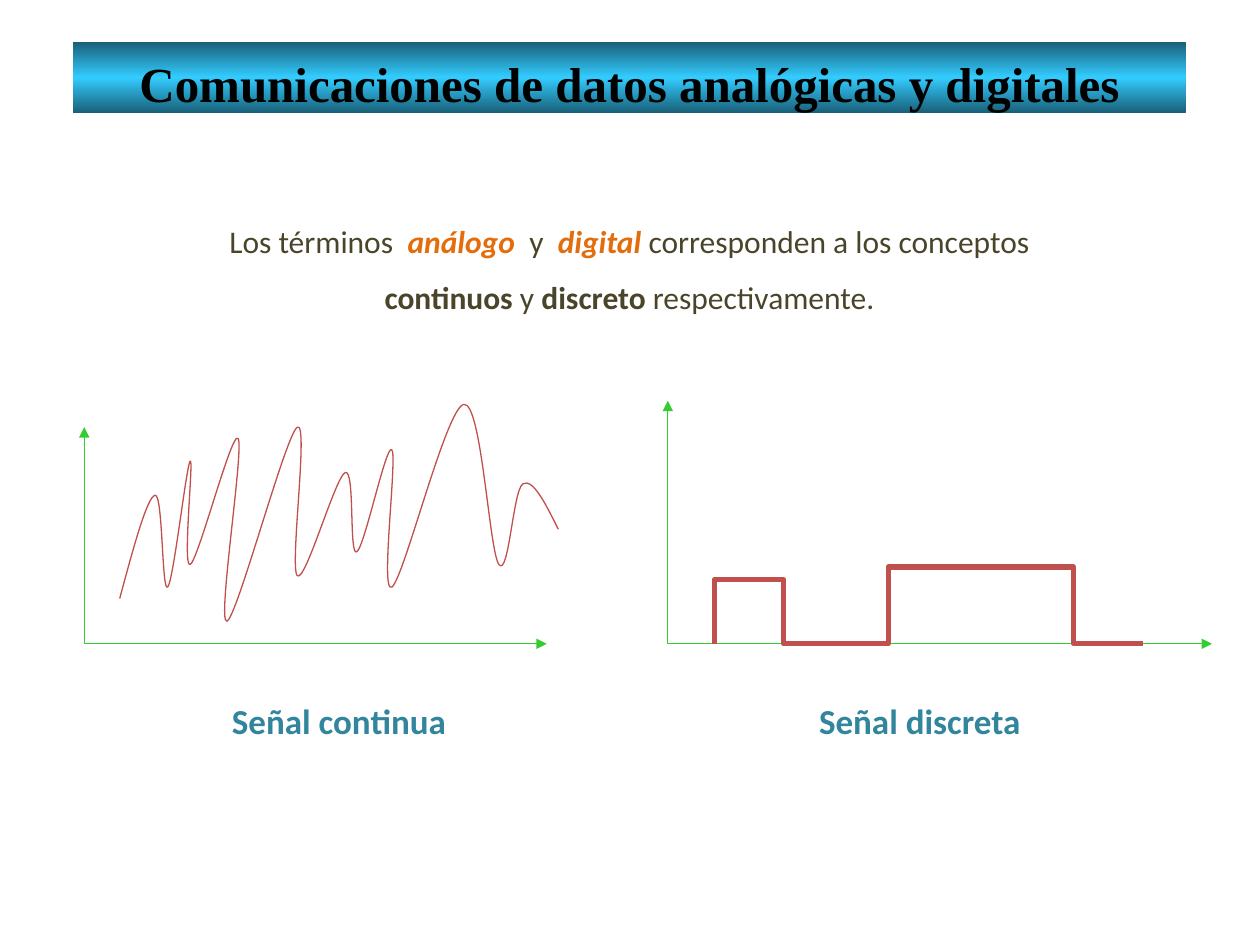
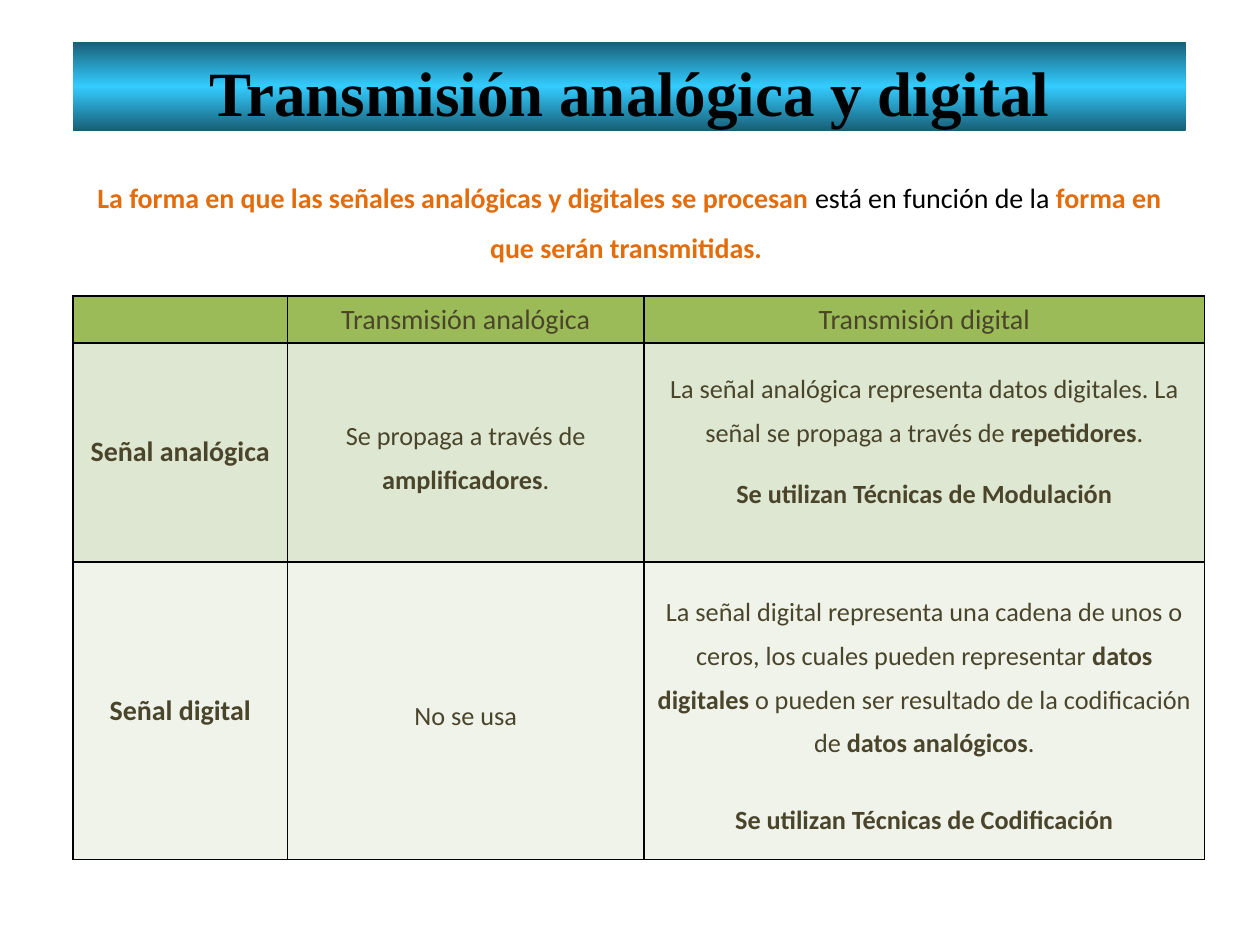
from copy import deepcopy

from lxml import etree
from pptx import Presentation
from pptx.dml.color import RGBColor
from pptx.enum.shapes import MSO_SHAPE
from pptx.enum.text import MSO_ANCHOR, PP_ALIGN
from pptx.oxml.ns import qn
from pptx.util import Pt

RECTANGLE = MSO_SHAPE.RECTANGLE
CENTER = PP_ALIGN.CENTER
TOP, MIDDLE = MSO_ANCHOR.TOP, MSO_ANCHOR.MIDDLE

COLORS = {
    "black": "000000",
    "band_edge": "185E76",
    "band_middle": "33CCFF",
    "body": "4A452A",
    "accent": "E46C0A",
    "caption": "31859C",
    "axis": "33CC33",
    "signal": "C0504D",
    "header": "9BBB59",
    "analog_row": "DEE7D1",
    "digital_row": "EFF3EA",
}
BODY = {"name": "Calibri", "size": Pt(18), "bold": False, "color": "body"}
BOLD = {"bold": True}
ACCENT = {"bold": True, "color": "accent"}
ACCENT_ITALIC = {**ACCENT, "italic": True}
TITLE = {"name": "Times New Roman", "bold": True, "color": "black"}
CAPTION = {**BODY, "size": Pt(20), "bold": True, "color": "caption"}
LABEL = {**BODY, "size": Pt(16)}
CELL = {**BODY, "size": Pt(15)}

# Peaks and valleys of the continuous signal
WAVE_KNOTS = [
    (68.4, 342), (88.6, 283), (95.8, 335.5), (108.7, 263.5), (108.7, 322.6),
    (136.1, 250.6), (129.6, 355), (169.9, 244.1), (169.9, 329), (197.3, 270),
    (203.8, 315.4), (223.9, 257), (223.9, 335.5), (265, 231.1),
    (285.1, 322.6), (298.8, 276.5), (319, 302.4),
]
BASELINE = 367.9
PULSES = [
    (408.2, BASELINE), (408.2, 331.2), (447.8, 331.2), (447.8, BASELINE),
    (507.6, BASELINE), (507.6, 324), (613.4, 324), (613.4, BASELINE),
    (653, BASELINE),
]


def rgb(name):
    return RGBColor.from_string(COLORS[name])


# Text
def write_para(para, spans, style, **layout):
    """Fill a centred paragraph with (text, changes to style) spans."""
    para.alignment = CENTER
    for key, value in layout.items():
        setattr(para, key, value)
    for text, changes in spans:
        span = para.add_run()
        span.text = text
        for key, value in {**style, **changes}.items():
            if key == "color":
                span.font.color.rgb = rgb(value)
            else:
                setattr(span.font, key, value)


def add_text(page, left, top, width, height, spans, style, **layout):
    box = page.shapes.add_textbox(Pt(left), Pt(top), Pt(width), Pt(height))
    box.text_frame.word_wrap = True
    write_para(box.text_frame.paragraphs[0], spans, style, **layout)


def add_title_band(page, text, size, height):
    band = page.shapes.add_shape(RECTANGLE, Pt(41.8), Pt(23.8), Pt(635.8), Pt(height))
    band.shadow.inherit = False
    band.line.fill.background()
    band.fill.gradient()
    band.fill.gradient_angle = 90
    stop_list = band.fill._xPr.find(qn("a:gradFill")).find(qn("a:gsLst"))
    stop_list.append(deepcopy(stop_list[0]))
    names = ("band_edge", "band_middle", "band_edge")
    for stop, name, position in zip(band.fill.gradient_stops, names, (0, 0.5, 1)):
        stop.color.rgb = rgb(name)
        stop.position = position
    frame = band.text_frame
    frame.word_wrap = True
    frame.vertical_anchor = TOP
    frame.margin_top, frame.margin_bottom = Pt(6.6), 0
    write_para(frame.paragraphs[0], [(text, {})], {**TITLE, "size": Pt(size)})


# Lines
def add_polyline(page, points, color, weight):
    start, *rest = [(Pt(x), Pt(y)) for x, y in points]
    builder = page.shapes.build_freeform(*start)
    builder.add_line_segments(rest, close=False)
    outline = builder.convert_to_shape()
    outline.shadow.inherit = False
    outline.fill.background()
    outline.line.color.rgb = rgb(color)
    outline.line.width = Pt(weight)
    return outline


def add_axes(page, left, top, right):
    corner = [(left, top), (left, BASELINE), (right, BASELINE)]
    axes = add_polyline(page, corner, "axis", 0.75)
    for end in ("a:headEnd", "a:tailEnd"):
        etree.SubElement(axes.line._ln, qn(end), type="triangle")


def midpoint(first, second):
    return (first[0] + second[0]) / 2, (first[1] + second[1]) / 2


def curve_points(knots):
    """Control points of a smooth curve: each tangent follows the neighbours."""
    arrive, leave = {}, {}
    for i in range(1, len(knots) - 1):
        (x0, y0), (x, y), (x1, y1) = knots[i - 1:i + 2]
        dx, dy = (x1 - x0) / 6, (y1 - y0) / 6
        arrive[i], leave[i] = (x - dx, y - dy), (x + dx, y + dy)
    last = len(knots) - 1
    leave[0] = midpoint(knots[0], arrive[1])
    arrive[last] = midpoint(leave[last - 1], knots[last])
    points = [knots[0]]
    for i in range(last):
        points += [leave[i], arrive[i + 1], knots[i + 1]]
    return points


def add_curve(page, knots, color, weight):
    """Draw the control polygon, then turn each three segments into a Bézier."""
    curve = add_polyline(page, curve_points(knots), color, weight)
    segments = list(curve._element.iter(qn("a:lnTo")))
    for i in range(0, len(segments), 3):
        bezier = etree.Element(qn("a:cubicBezTo"))
        segments[i].addprevious(bezier)
        for segment in segments[i:i + 3]:
            bezier.append(segment[0])
            segment.getparent().remove(segment)


# Table
def add_cell_borders(cell):
    properties = cell._tc.get_or_add_tcPr()
    for side in ("a:lnL", "a:lnR", "a:lnT", "a:lnB"):
        border = etree.SubElement(properties, qn(side), w=str(Pt(1)))
        fill = etree.SubElement(border, qn("a:solidFill"))
        etree.SubElement(fill, qn("a:srgbClr"), val=COLORS["black"])


def format_cell(cell, color, anchor=MIDDLE):
    add_cell_borders(cell)
    cell.fill.solid()
    cell.fill.fore_color.rgb = rgb(color)
    cell.vertical_anchor = anchor


def fill_cell(cell, paras, gap=0):
    """Write paragraphs with fixed line spacing, gap points apart."""
    for i, spans in enumerate(paras):
        para = cell.text_frame.add_paragraph() if i else cell.text_frame.paragraphs[0]
        write_para(para, spans, CELL, line_spacing=Pt(25),
                   space_before=Pt(gap if i else 0))


def add_comparison(page):
    widths, heights = (122.4, 203.8, 320.4), (26.7, 125.3, 169.9)
    frame = page.shapes.add_table(3, 3, Pt(41.8), Pt(169.2),
                                  Pt(sum(widths)), Pt(sum(heights)))
    table = frame.table
    for column, width in zip(table.columns, widths):
        column.width = Pt(width)
    for row, height in zip(table.rows, heights):
        row.height = Pt(height)

    for row, color in zip(table.rows, ("header", "analog_row", "digital_row")):
        for cell in row.cells:
            format_cell(cell, color, TOP if color == "header" else MIDDLE)
    labels = {
        (0, 1): ("Transmisión analógica", {}),
        (0, 2): ("Transmisión digital", {}),
        (1, 0): ("Señal analógica", BOLD),
        (2, 0): ("Señal digital", BOLD),
    }
    for position, label in labels.items():
        write_para(table.cell(*position).text_frame.paragraphs[0], [label], LABEL)
    corner = table.cell(0, 0).text_frame.paragraphs[0]
    etree.SubElement(corner._p, qn("a:endParaRPr"), sz="1600")

    for row in (1, 2):
        cell = table.cell(row, 1)
        cell.margin_left = cell.margin_right = Pt(5)
        cell.margin_top = cell.margin_bottom = 0
    fill_cell(table.cell(1, 1), [[
        ("Se propaga a través de ", {}), ("amplificadores", BOLD), (".", {}),
    ]])
    fill_cell(table.cell(2, 1), [[("No se usa", {})]])
    table.cell(1, 2).margin_bottom = Pt(22)
    fill_cell(table.cell(1, 2), [
        [("La señal analógica representa datos digitales. La señal se propaga "
          "a través de ", {}), ("repetidores", BOLD), (".", {})],
        [("Se utilizan Técnicas de Modulación", BOLD)],
    ], gap=10)
    fill_cell(table.cell(2, 2), [
        [("La señal digital representa una cadena de unos o ceros, los cuales "
          "pueden representar ", {}), ("datos digitales ", BOLD),
         ("o pueden ser resultado de la codificación de ", {}),
         ("datos analógicos", BOLD), (".", {})],
        [("Se utilizan Técnicas de Codificación", BOLD)],
    ], gap=18.5)


# Slides
def build_signals(page):
    add_title_band(page, "Comunicaciones de datos analógicas y digitales", 28, 41)
    add_text(page, 106.6, 112.3, 506.2, 72.7, [
        ("Los términos  ", {}), ("análogo ", ACCENT_ITALIC), (" y  ", {}),
        ("digital ", ACCENT_ITALIC), ("corresponden a los conceptos ", {}),
        ("continuos", BOLD), (" y ", {}), ("discreto", BOLD),
        (" respectivamente.", {}),
    ], BODY, line_spacing=1.5)
    add_axes(page, 48.2, 244.1, 312.5)
    add_curve(page, WAVE_KNOTS, "signal", 0.75)
    add_axes(page, 381.6, 229, 692.6)
    add_polyline(page, PULSES, "signal", 3)
    for left, text in ((106.6, "Señal continua"), (438.5, "Señal discreta")):
        add_text(page, left, 396, 174.2, 31.7, [(text, {})], CAPTION)


def build_transmission(page):
    add_title_band(page, "Transmisión analógica y digital", 36, 51)
    add_text(page, 44.6, 90, 630, 62, [
        ("La forma en que las señales analógicas y digitales se procesan ", ACCENT),
        ("está en función de la ", {"color": "black"}),
        ("forma en que serán transmitidas. ", ACCENT),
    ], LABEL, line_spacing=1.5)
    add_comparison(page)


def main():
    deck = Presentation()
    deck.slide_width, deck.slide_height = Pt(720), Pt(540)
    for build in (build_signals, build_transmission):
        build(deck.slides.add_slide(deck.slide_layouts[6]))
    deck.save("out.pptx")


if __name__ == "__main__":
    main()
